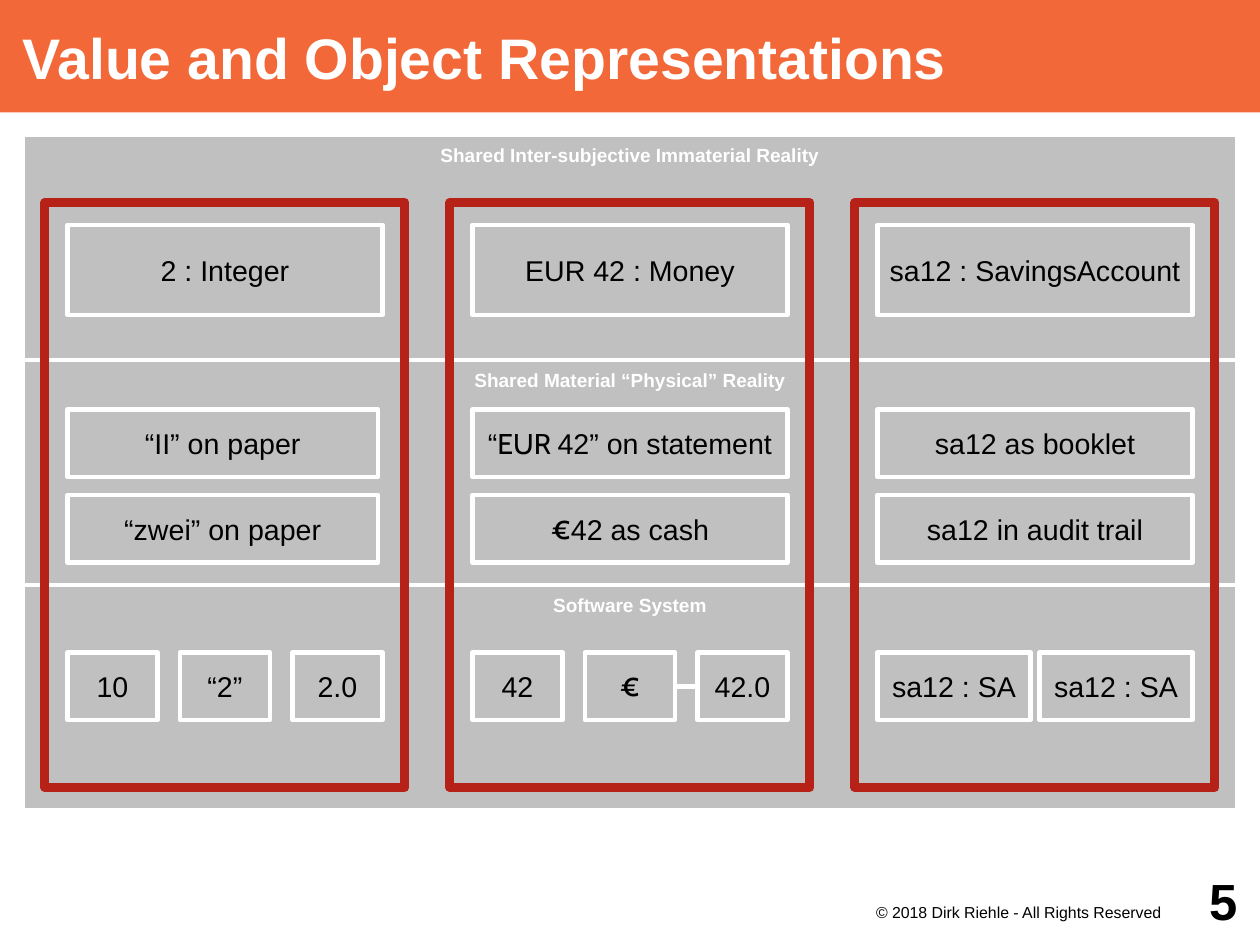
from dataclasses import dataclass

from lxml.etree import SubElement
from pptx import Presentation
from pptx.dml.color import RGBColor
from pptx.enum.shapes import MSO_CONNECTOR as Connector, MSO_SHAPE as Shape
from pptx.enum.text import MSO_ANCHOR as Anchor, PP_ALIGN as Align
from pptx.oxml.ns import qn
from pptx.util import Cm, Pt


@dataclass(frozen=True)
class Theme:
    orange: str = "F36838"
    gray: str = "C0C0C0"
    red: str = "B62118"
    white: str = "FFFFFF"
    black: str = "000000"
    font: str = "Arial"
    currency_font: str = "Cabin"
    title: int = 36
    number: int = 32
    label: int = 18
    heading: int = 12
    footer: int = 10
    thin: float = 2.83
    thick: float = 5.67


THEME = Theme()
EURO = ("€", THEME.currency_font)
BANDS = ["Shared Inter-subjective Immaterial Reality",
         "Shared Material “Physical” Reality",
         "Software System"]
COLUMNS = [
    {"value": "2 : Integer",
     "physical": ["“II” on paper", "“zwei” on paper"], "physical_width": 6.9,
     "software": ["10", "“2”", "2.0"], "gap": 0.5},
    {"value": "EUR 42 : Money",
     "physical": [["“", ("EUR ", THEME.currency_font), "42” on statement"],
                  [EURO, "42 as cash"]], "physical_width": 7,
     "software": ["42", [EURO], "42.0"], "gap": 0.5},
    {"value": "sa12 : SavingsAccount",
     "physical": ["sa12 as booklet", "sa12 in audit trail"], "physical_width": 7,
     "software": ["sa12 : SA", "sa12 : SA"], "gap": 0.2},
]


def write(sp, text, size=THEME.label, color=THEME.black, bold=False, align=Align.CENTER,
          anchor=Anchor.MIDDLE, insets=(0.2, 0.2, 0.2, 0.2), wrap=False):
    """Fill a shape with one paragraph; parts may be strings or (string, font) pairs."""
    tf = sp.text_frame
    tf.word_wrap = wrap
    tf.vertical_anchor = anchor
    tf.margin_left, tf.margin_top, tf.margin_right, tf.margin_bottom = map(Cm, insets)
    p = tf.paragraphs[0]
    p.alignment = align
    for part in [text] if isinstance(text, str) else text:
        words, font = (part, THEME.font) if isinstance(part, str) else part
        r = p.add_run()
        r.text = words
        r.font.name = font
        r.font.size = Pt(size)
        r.font.bold = bold
        r.font.color.rgb = RGBColor.from_string(color)


def add_rect(s, x, y, w, h, fill=None, line=None, weight=THEME.thin):
    """Add a rectangle in centimetres with optional fill and line."""
    sp = s.shapes.add_shape(Shape.RECTANGLE, Cm(x), Cm(y), Cm(w), Cm(h))
    sp.shadow.inherit = False
    if fill:
        sp.fill.solid()
        sp.fill.fore_color.rgb = RGBColor.from_string(fill)
    else:
        sp.fill.background()
    if line:
        sp.line.color.rgb = RGBColor.from_string(line)
        sp.line.width = Pt(weight)
    else:
        sp.line.fill.background()
    return sp


def add_box(s, x, y, w, h, text, **style):
    """Add a gray box with a white outline and text."""
    sp = add_rect(s, x, y, w, h, THEME.gray, THEME.white)
    write(sp, text, **style)
    return sp


def add_row(s, x, y, w, h, gap, labels):
    """Add equal boxes side by side across a width and return them."""
    box_w = (w - gap * (len(labels) - 1)) / len(labels)
    return [add_box(s, x + i * (box_w + gap), y, box_w, h, label)
            for i, label in enumerate(labels)]


def add_link(s, left, right):
    """Join two neighbouring boxes with a white line."""
    link = s.shapes.add_connector(Connector.STRAIGHT, 0, 0, 0, 0)
    link.begin_connect(left, 3)
    link.end_connect(right, 1)
    link.line.color.rgb = RGBColor.from_string(THEME.white)
    link.line.width = Pt(THEME.thin)
    SubElement(link._element.spPr, qn("a:effectLst"))


def add_label(s, x, y, w, h, text, **style):
    """Add a wrapped text box aligned to the right."""
    sp = s.shapes.add_textbox(Cm(x), Cm(y), Cm(w), Cm(h))
    write(sp, text, align=Align.RIGHT, wrap=True, **style)


def main():
    """Build the slide and save it."""
    prs = Presentation()
    prs.slide_width, prs.slide_height = Cm(28), Cm(21)
    s = prs.slides.add_slide(prs.slide_layouts[6])

    title = add_rect(s, 0, 0, 28, 2.5, THEME.orange)
    write(title, "Value and Object Representations", size=THEME.title, color=THEME.white,
          bold=True, align=Align.LEFT, insets=(0.5, 0, 0, 0), wrap=True)

    for i, heading in enumerate(BANDS):
        add_box(s, 0.5, 3 + 5 * i, 27, 5, heading, size=THEME.heading,
                color=THEME.white, bold=True, anchor=Anchor.TOP)

    software_rows = []
    for i, column in enumerate(COLUMNS):
        x = 1.5 + 9 * i
        add_box(s, x, 5, 7, 2, column["value"])
        for j, label in enumerate(column["physical"]):
            add_box(s, x, 9.1 + 1.9 * j, column["physical_width"], 1.5, label)
        software_rows.append(add_row(s, x, 14.5, 7, 1.5, column["gap"], column["software"]))
        add_rect(s, x - 0.5, 4.5, 8, 13, line=THEME.red, weight=THEME.thick)

    currency, amount = software_rows[1][1:]
    add_link(s, currency, amount)

    add_label(s, 18, 20, 8, 1, "© 2018 Dirk Riehle - All Rights Reserved",
              size=THEME.footer, anchor=Anchor.TOP, insets=(0, 0.05, 0.2, 0))
    add_label(s, 25.5, 19, 2.5, 2, "5", size=THEME.number, bold=True,
              insets=(0, 0, 0.5, 0))
    prs.save("out.pptx")


if __name__ == "__main__":
    main()
